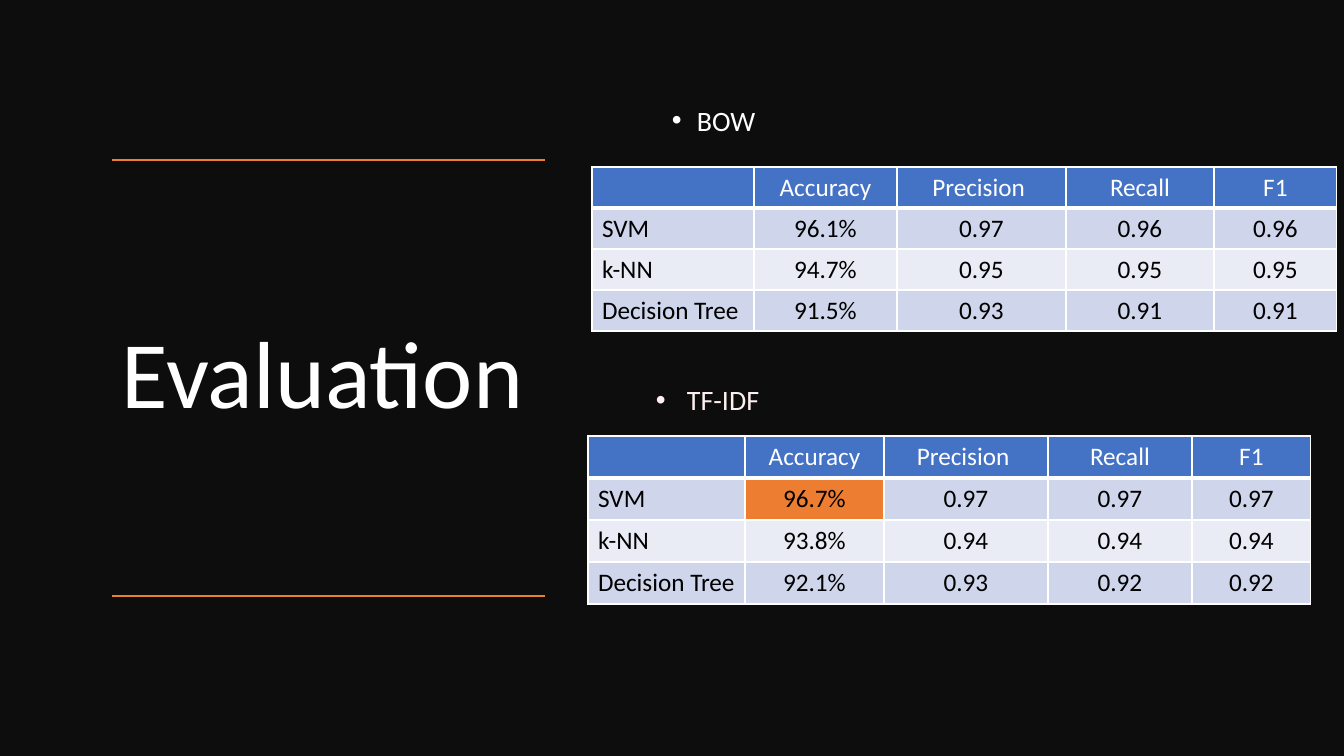
import dataclasses

import lxml.etree
import pptx
import pptx.dml.color
import pptx.enum.shapes
import pptx.enum.text
import pptx.oxml.ns
import pptx.util

EMU_PER_PX = 914400 / 100.8
SLIDE_WIDTH, SLIDE_HEIGHT = 1344, 756
FONT = "Calibri"
COLORS = {
    "background": "0D0D0D",
    "white": "FFFFFF",
    "rose": "FFF0F0",
    "black": "000000",
    "accent": "ED7D31",
    "header": "4472C4",
    "odd_row": "CFD5EA",
    "even_row": "E9EBF5",
}
HEADINGS = ["", "Accuracy", "Precision ", "Recall", "F1"]
CENTER = pptx.enum.text.PP_ALIGN.CENTER
LEFT = pptx.enum.text.PP_ALIGN.LEFT
MIDDLE = pptx.enum.text.MSO_ANCHOR.MIDDLE
TOP = pptx.enum.text.MSO_ANCHOR.TOP


@dataclasses.dataclass(frozen=True)
class Label:
    text: str
    box: tuple[int, int, int, int]
    size: int
    color: str = "white"
    anchor: pptx.enum.text.MSO_ANCHOR = MIDDLE
    line_spacing: float = 0.9
    bullet_indent: int = 0


@dataclasses.dataclass(frozen=True)
class ScoreTable:
    left: int
    top: int
    column_widths: list[int]
    row_height: int
    scores: list[list[str]]
    best: tuple[int, int] | None = None


LABELS = [
    Label("Evaluation", (112, 160, 433, 436), 68),
    Label("BOW", (662, 75, 552, 94), 20, bullet_indent=25),
    Label("TF-IDF", (646, 378, 302, 44), 20, color="rose", anchor=TOP,
          line_spacing=1.0, bullet_indent=31),
]
TABLES = [
    ScoreTable(592, 167, [162, 143, 169, 148, 123], 41, [
        ["SVM", "96.1%", "0.97", "0.96", "0.96"],
        ["k-NN", "94.7%", "0.95", "0.95", "0.95"],
        ["Decision Tree", "91.5%", "0.93", "0.91", "0.91"],
    ]),
    ScoreTable(588, 436, [157, 139, 164, 144, 119], 42, [
        ["SVM", "96.7%", "0.97", "0.97", "0.97"],
        ["k-NN", "93.8%", "0.94", "0.94", "0.94"],
        ["Decision Tree", "92.1%", "0.93", "0.92", "0.92"],
    ], best=(1, 1)),
]


def px(length: int) -> pptx.util.Emu:
    return pptx.util.Emu(round(length * EMU_PER_PX))


def rgb(name: str) -> pptx.dml.color.RGBColor:
    return pptx.dml.color.RGBColor.from_string(COLORS[name])


def add_child(parent, tag: str, **attributes: str):
    return lxml.etree.SubElement(parent, pptx.oxml.ns.qn(tag), attributes)


def write_text(frame, text: str, *, size: int, color: str, align=LEFT,
               line_spacing: float = 1.0, bullet_indent: int = 0) -> None:
    paragraph = frame.paragraphs[0]
    paragraph.alignment = align
    paragraph.line_spacing = line_spacing
    if bullet_indent:
        properties = paragraph._p.get_or_add_pPr()
        properties.set("marL", str(px(bullet_indent)))
        properties.set("indent", str(-px(bullet_indent)))
        add_child(properties, "a:buFont", typeface="Arial")
        add_child(properties, "a:buChar", char="•")
    paragraph.font.size = pptx.util.Pt(size)
    if text:
        run = paragraph.add_run()
        run.text = text
        run.font.name = FONT
        run.font.size = pptx.util.Pt(size)
        run.font.bold = False
        run.font.color.rgb = rgb(color)


def add_background(slide) -> None:
    backdrop = slide.shapes.add_shape(
        pptx.enum.shapes.MSO_SHAPE.RECTANGLE, 0, 0, px(SLIDE_WIDTH), px(SLIDE_HEIGHT))
    backdrop.shadow.inherit = False
    backdrop.fill.solid()
    backdrop.fill.fore_color.rgb = rgb("background")
    backdrop.line.fill.background()


def add_rule(slide, y: int) -> None:
    rule = slide.shapes.add_connector(
        pptx.enum.shapes.MSO_CONNECTOR.STRAIGHT, px(545), px(y), px(112), px(y))
    rule.line.color.rgb = rgb("accent")
    rule.line.width = pptx.util.Pt(1)
    add_child(rule._element.spPr, "a:effectLst")


def add_label(slide, label: Label) -> None:
    frame = slide.shapes.add_textbox(*map(px, label.box)).text_frame
    frame.word_wrap = True
    frame.vertical_anchor = label.anchor
    write_text(frame, label.text, size=label.size, color=label.color,
               line_spacing=label.line_spacing, bullet_indent=label.bullet_indent)


def set_borders(cell, bottom_width: int) -> None:
    """Draw white cell borders, placed before the fill as the schema asks."""
    properties = cell._tc.get_or_add_tcPr()
    widths = {"a:lnL": 1, "a:lnR": 1, "a:lnT": 1, "a:lnB": bottom_width}
    for position, (side, width) in enumerate(widths.items()):
        border = add_child(properties, side, w=str(pptx.util.Pt(width)))
        add_child(add_child(border, "a:solidFill"), "a:srgbClr", val=COLORS["white"])
        properties.insert(position, border)


def add_score_table(slide, spec_table: ScoreTable) -> None:
    rows = [HEADINGS, *spec_table.scores]
    table = slide.shapes.add_table(
        len(rows), len(HEADINGS), px(spec_table.left), px(spec_table.top),
        px(sum(spec_table.column_widths)), px(spec_table.row_height * len(rows))).table
    table.horz_banding = False
    for column, width in zip(table.columns, spec_table.column_widths):
        column.width = px(width)
    for r, values in enumerate(rows):
        table.rows[r].height = px(spec_table.row_height)
        row_fill = "header" if r == 0 else "odd_row" if r % 2 else "even_row"
        for c, value in enumerate(values):
            cell = table.cell(r, c)
            cell.fill.solid()
            cell.fill.fore_color.rgb = rgb("accent" if (r, c) == spec_table.best else row_fill)
            set_borders(cell, bottom_width=1 if r else 3)
            write_text(cell.text_frame, value, size=18,
                       color="black" if r else "white", align=CENTER if c else LEFT)


def main() -> None:
    deck = pptx.Presentation()
    deck.slide_width, deck.slide_height = px(SLIDE_WIDTH), px(SLIDE_HEIGHT)
    slide = deck.slides.add_slide(deck.slide_layouts[6])
    add_background(slide)
    for y in (160, 596):
        add_rule(slide, y)
    for label in LABELS:
        add_label(slide, label)
    for score_table in TABLES:
        add_score_table(slide, score_table)
    deck.save("out.pptx")


if __name__ == "__main__":
    main()
